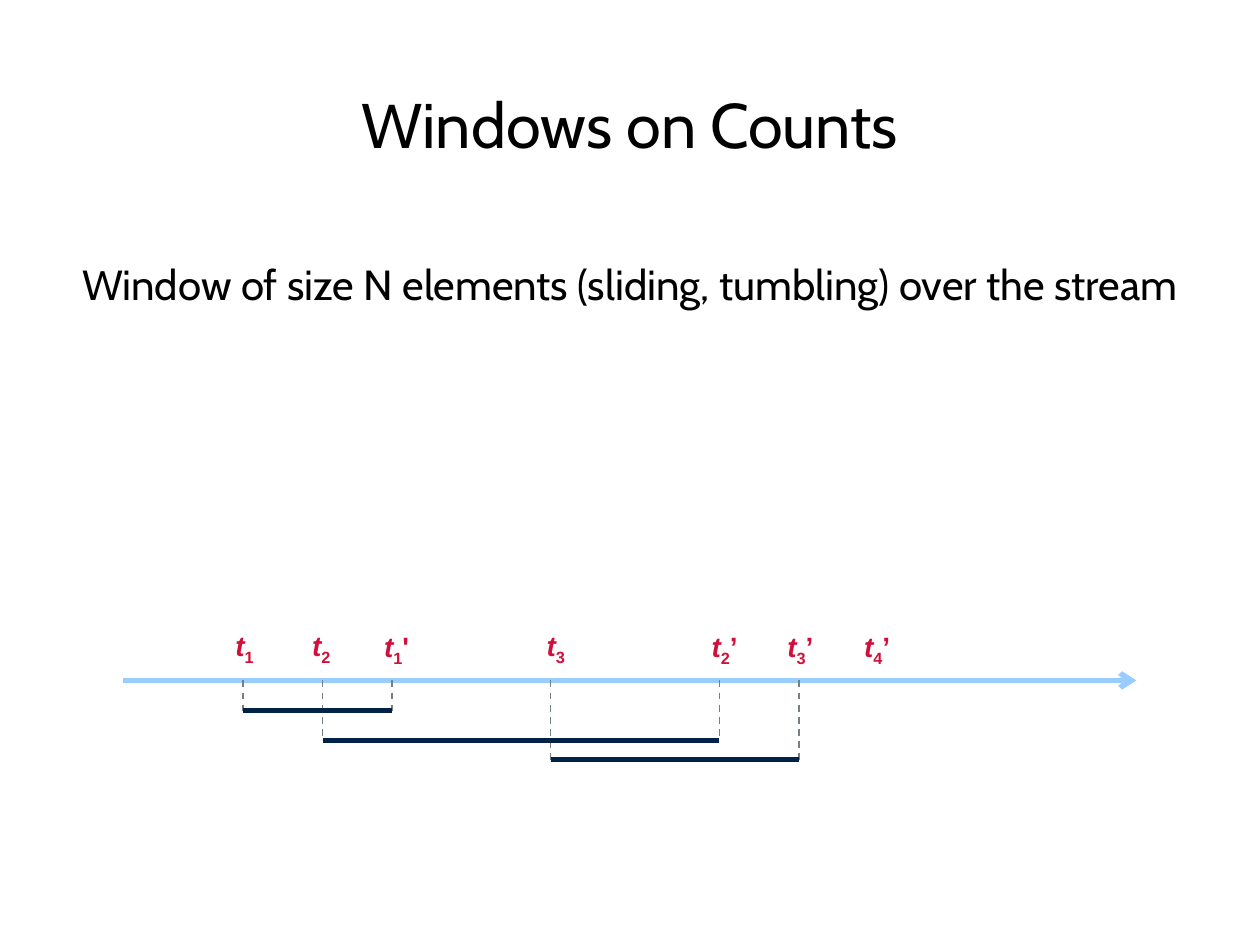
from dataclasses import dataclass

from lxml import etree
from pptx import Presentation
from pptx import util as u
from pptx.dml.color import RGBColor
from pptx.enum import dml, shapes, text
from pptx.oxml import ns

PX = u.Inches(1) // 100
AXIS = 540
COLORS = {
    "text": "000000",
    "axis": "99CCFF",
    "label": "CF103A",
    "guide": "758085",
    "window": "002244",
}


@dataclass(frozen=True)
class Label:
    left: int
    sub: str
    prime: str = ""


@dataclass(frozen=True)
class Window:
    start: int
    end: int
    level: int


LABELS = [
    Label(177, "1"),
    Label(238, "2"),
    Label(424, "3"),
    Label(295, "1", "'"),
    Label(555, "2", "’"),
    Label(615, "3", "’"),
    Label(676, "4", "’"),
]
WINDOWS = [Window(193, 311, 564), Window(256, 571, 588), Window(437, 634, 603)]


def px(num: int) -> int:
    return num * PX


def tint(name: str) -> RGBColor:
    return RGBColor.from_string(COLORS[name])


def add_line(slide, x1: int, y1: int, x2: int, y2: int, color: str,
             width: int, dash: bool = False, arrow: bool = False) -> None:
    line = slide.shapes.add_connector(
        shapes.MSO_CONNECTOR.STRAIGHT, px(x1), px(y1), px(x2), px(y2))
    line.line.color.rgb = tint(color)
    line.line.width = u.Pt(width)
    if dash:
        line.line.dash_style = dml.MSO_LINE.DASH
    props = line._element.spPr
    if arrow:
        etree.SubElement(props.find(ns.qn("a:ln")), ns.qn("a:tailEnd"), type="arrow")
    etree.SubElement(props, ns.qn("a:effectLst"))


def set_line(shape, words: str, size: int) -> None:
    frame = shape.text_frame
    frame.text = words
    frame.word_wrap = True
    para = frame.paragraphs[0]
    para.alignment = text.PP_ALIGN.CENTER
    font = para.runs[0].font
    font.name = "Cabin"
    font.size = u.Pt(size)
    font.color.rgb = tint("text")


def add_label(slide, label: Label) -> None:
    top, width = (495, 41) if label.prime else (494, 37)
    box = slide.shapes.add_textbox(px(label.left), px(top), px(width), px(37))
    frame = box.text_frame
    frame.word_wrap = False
    frame.auto_size = text.MSO_AUTO_SIZE.SHAPE_TO_FIT_TEXT
    for part in filter(None, ("t", label.sub, label.prime)):
        run = frame.paragraphs[0].add_run()
        run.text = part
        font = run.font
        font.name = "Arial"
        font.size = u.Pt(16)
        font.bold = True
        font.italic = part == "t"
        font.color.rgb = tint("label")
        if part == label.sub:
            run._r.get_or_add_rPr().set("baseline", "-25000")


def main() -> None:
    deck = Presentation()
    deck.slide_width, deck.slide_height = px(1000), px(750)
    slide = deck.slides.add_slide(deck.slide_layouts[5])

    title = slide.shapes.title
    title.left, title.top, title.width, title.height = px(0), px(60), px(1000), px(75)
    set_line(title, "Windows on Counts", 36)
    title.text_frame.vertical_anchor = text.MSO_ANCHOR.MIDDLE

    body = slide.shapes.add_textbox(px(0), px(200), px(1000), px(50))
    set_line(body, "Window of size N elements (sliding, tumbling) over the stream", 24)
    body.text_frame.auto_size = text.MSO_AUTO_SIZE.SHAPE_TO_FIT_TEXT

    add_line(slide, 98, AXIS, 902, AXIS, "axis", 3, arrow=True)
    for label in LABELS:
        add_label(slide, label)
    for win in WINDOWS:
        for x in (win.start, win.end):
            add_line(slide, x, AXIS, x, win.level, "guide", 1, dash=True)
    for win in WINDOWS:
        add_line(slide, win.start, win.level, win.end, win.level, "window", 3)

    deck.save("out.pptx")


if __name__ == "__main__":
    main()
